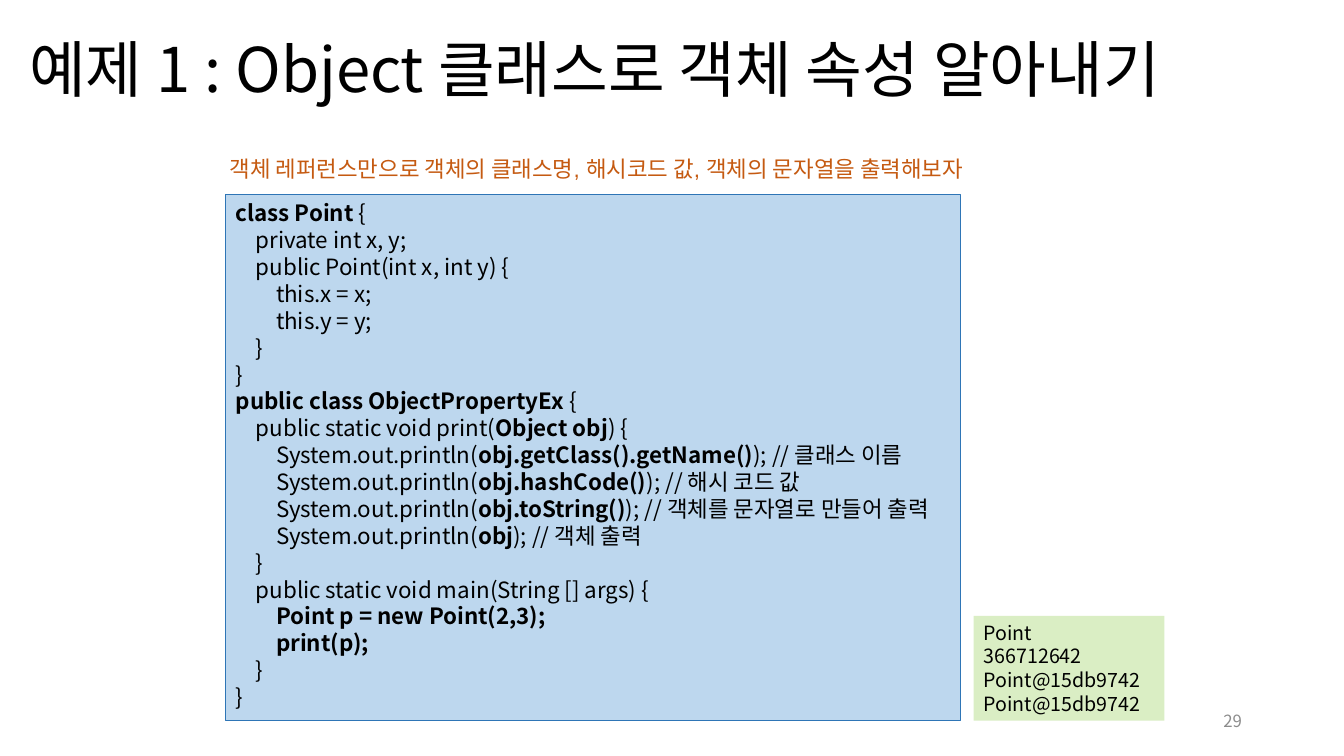
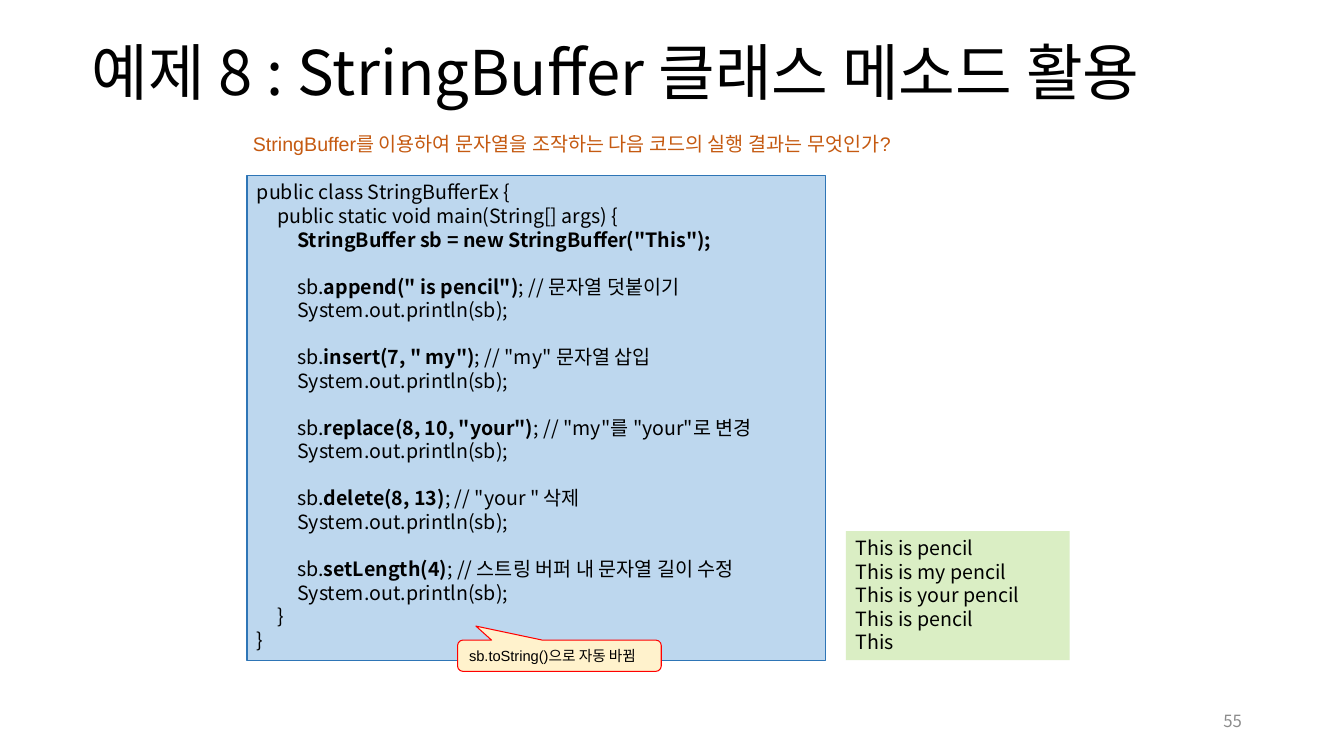
import pptx
import pptx.util
import pptx.dml.color
import pptx.enum.shapes
import pptx.enum.text
import pptx.oxml.ns
import lxml.etree

RGB = pptx.dml.color.RGBColor
Pt = pptx.util.Pt
Inches = pptx.util.Inches
KIND = pptx.enum.shapes.MSO_SHAPE
ALIGN = pptx.enum.text.PP_ALIGN
ANCHOR = pptx.enum.text.MSO_ANCHOR
qn = pptx.oxml.ns.qn

BLACK = RGB(0x00, 0x00, 0x00)
GREY = RGB(0x8C, 0x8C, 0x8C)
RUST = RGB(0xC5, 0x5A, 0x11)
SKY = RGB(0xBD, 0xD7, 0xEE)
BLUE = RGB(0x2E, 0x75, 0xB6)
GREEN = RGB(0xDA, 0xEE, 0xC4)
CREAM = RGB(0xFF, 0xF2, 0xCC)
RED = RGB(0xFF, 0x00, 0x00)
NOTO = "Noto Sans CJK KR"
ARIAL = "Arial"

WIDE, HIGH = Inches(13.33), Inches(7.5)
LEAD = 1.2  # line height of code, in font sizes
TAB = Inches(0.2)

# Format of each role; "kind" None is a plain text box.
BASE = dict(kind=None, size=14, font=NOTO, ink=BLACK, fill=None, line=None,
            align=ALIGN.LEFT, anchor=ANCHOR.MIDDLE, lead=None, adjust=())
ROLES = {
    "title": dict(size=44, lead=0.9),
    "task": dict(font=ARIAL, ink=RUST),
    "code": dict(kind=KIND.RECTANGLE, fill=SKY, line=BLUE,
                 anchor=ANCHOR.TOP, lead="fixed"),
    "output": dict(kind=KIND.RECTANGLE, fill=GREEN,
                   anchor=ANCHOR.TOP, lead="fixed"),
    "page": dict(size=12, ink=GREY, align=ALIGN.RIGHT),
    "callout": dict(kind=KIND.ROUNDED_RECTANGULAR_CALLOUT, size=10.5,
                    font=ARIAL, fill=CREAM, line=RED,
                    adjust=(-0.41, -0.95, 0.17)),
}

POINT = """*class Point *{
\tprivate int x, y;
\tpublic Point(int x, int y) {
\t\tthis.x = x;
\t\tthis.y = y;
\t}
}
*public class ObjectPropertyEx *{
\tpublic static void print(*Object obj*) {
\t\tSystem.out.println(*obj.getClass().getName()*); // 클래스 이름
\t\tSystem.out.println(*obj.hashCode()*); // 해시 코드 값
\t\tSystem.out.println(*obj.toString()*); // 객체를 문자열로 만들어 출력
\t\tSystem.out.println(*obj*); // 객체 출력
\t}
\tpublic static void main(String [] args) {
\t\t*Point p = new Point(2,3);*
\t\t*print(p);*
\t}
}"""

BUFFER = """public class StringBufferEx {
\tpublic static void main(String[] args) {
\t\t*StringBuffer sb = new StringBuffer("This");*

\t\tsb.*append(" is pencil")*; // 문자열 덧붙이기
\t\tSystem.out.println(sb);

\t\tsb.*insert(7, " my")*; // "my" 문자열 삽입
\t\tSystem.out.println(sb);

\t\tsb.*replace(8, 10, "your")*; // "my"를 "your"로 변경
\t\tSystem.out.println(sb);

\t\tsb.*delete(8, 13)*; // "your " 삭제
\t\tSystem.out.println(sb);

\t\tsb.*setLength(4)*; // 스트링 버퍼 내 문자열 길이 수정
\t\tSystem.out.println(sb);
\t}
}"""

# Each part: role, (left, top, width, height) in percent of the slide,
# text with *bold* marks, and any change of format.
PAGE = (70.65, 92.67, 22.5, 5.33)
SLIDES = [
    [
        ("title", (1.43, 0, 95.85, 19.33),
         "예제 1 : Object 클래스로 객체 속성 알아내기", {}),
        ("code", (16.8, 25.73, 54.68, 69.6), POINT, dict(size=16)),
        ("output", (72.45, 81.47, 14.18, 13.87),
         "Point\n366712642\nPoint@15db9742\nPoint@15db9742", {}),
        ("page", PAGE, "29", {}),
        ("task", (16.35, 19.87, 64.95, 4.93),
         "객체 레퍼런스만으로 객체의 클래스명, 해시코드 값, "
         "객체의 문자열을 출력해보자", dict(size=16)),
    ],
    [
        ("title", (6.08, 0.27, 86.25, 19.33),
         "예제 8 : StringBuffer 클래스 메소드 활용", {}),
        ("code", (18.38, 23.2, 43.05, 64.13), BUFFER, {}),
        ("task", (18.08, 16.8, 53.93, 4.53),
         "StringBuffer를 이용하여 문자열을 조작하는 다음 코드의 "
         "실행 결과는 무엇인가?", {}),
        ("output", (62.93, 70.27, 16.65, 17.07),
         "This is pencil\nThis is my pencil\nThis is your pencil\n"
         "This is pencil\nThis", {}),
        ("page", PAGE, "55", {}),
        ("callout", (34.05, 84.67, 15.15, 4.13),
         "sb.toString()으로 자동 바뀜", {}),
    ],
]


def set_tabs(para, count):
    """Put equal tab stops on an indented line."""
    stops = lxml.etree.SubElement(para._p.get_or_add_pPr(), qn("a:tabLst"))
    for step in range(1, count + 1):
        lxml.etree.SubElement(stops, qn("a:tab"), pos=str(TAB * step), algn="l")


def add_run(para, text, bold, form):
    run = para.add_run()
    run.text = text
    look = dict(size=Pt(form["size"]), name=form["font"], bold=bold)
    for key, value in look.items():
        setattr(run.font, key, value)
    run.font.color.rgb = form["ink"]
    lxml.etree.SubElement(run._r.get_or_add_rPr(), qn("a:ea"), typeface=NOTO)


def write(frame, text, form):
    """Fill a frame line by line; an empty line becomes space before the next."""
    pitch = Pt(form["size"] * LEAD)
    para, gap = frame.paragraphs[0], 0
    for row, line in enumerate(text.split("\n")):
        if not line:
            gap += pitch
            continue
        if row:
            para = frame.add_paragraph()
        para.alignment = form["align"]
        if form["lead"]:
            para.line_spacing = pitch if form["lead"] == "fixed" else form["lead"]
        if gap:
            para.space_before, gap = gap, 0
        depth = line.count("\t")
        if depth:
            set_tabs(para, depth)
        for part, piece in enumerate(line.split("*")):
            if piece:
                add_run(para, piece, part % 2 == 1, form)


def add_part(slide, role, at, text, change):
    form = {**BASE, **ROLES[role], **change}
    box = [int(share * full / 100)
           for share, full in zip(at, (WIDE, HIGH, WIDE, HIGH))]
    if form["kind"] is None:
        shape = slide.shapes.add_textbox(*box)
    else:
        shape = slide.shapes.add_shape(form["kind"], *box)
        shape.shadow.inherit = False
        shape.fill.solid()
        shape.fill.fore_color.rgb = form["fill"]
        if form["line"] is None:
            shape.line.fill.background()
        else:
            shape.line.color.rgb = form["line"]
            shape.line.width = Pt(0.75)
        for spot, value in enumerate(form["adjust"]):
            shape.adjustments[spot] = value
    frame = shape.text_frame
    frame.word_wrap = True
    frame.vertical_anchor = form["anchor"]
    write(frame, text, form)


def main():
    deck = pptx.Presentation()
    deck.slide_width, deck.slide_height = WIDE, HIGH
    for parts in SLIDES:
        slide = deck.slides.add_slide(deck.slide_layouts[6])
        for part in parts:
            add_part(slide, *part)
    deck.save("out.pptx")


if __name__ == "__main__":
    main()
